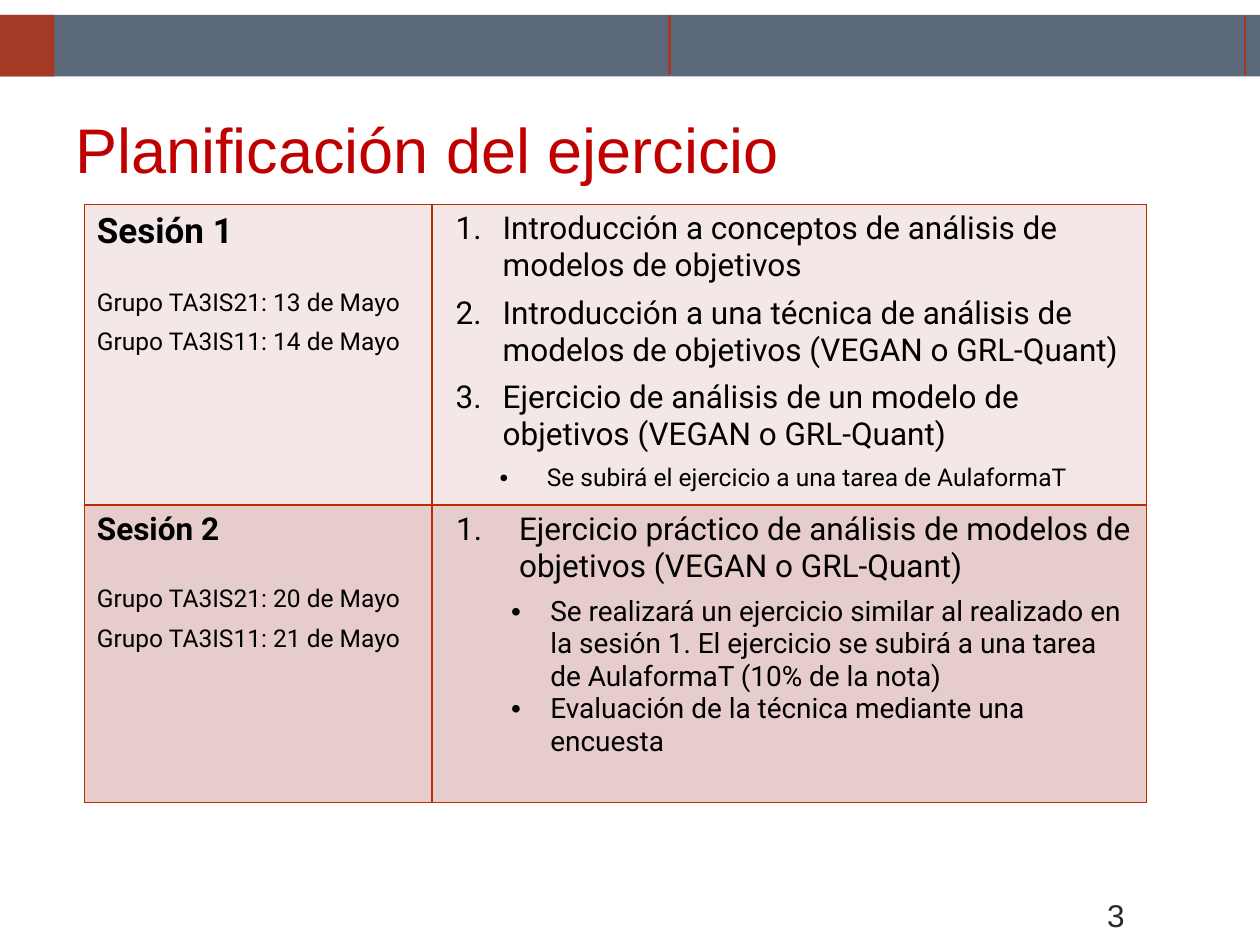
from lxml.etree import SubElement
from pptx import Presentation
from pptx.dml.color import RGBColor
from pptx.enum.shapes import MSO_CONNECTOR, MSO_SHAPE
from pptx.enum.text import MSO_ANCHOR
from pptx.oxml.ns import qn
from pptx.util import Cm, Pt

SLATE, BRICK, RED = "5C697B", "A43925", "C00000"
BLACK, INK, EDGE = "000000", "292934", "B92D00"


def color(value):
    return RGBColor.from_string(value)


def write(frame, text, size=18, font="Roboto", ink=BLACK, bold=False,
          before=0, after=0, left=0, hanging=0, bullet=None):
    """Fill the first empty paragraph of the frame, or add another one."""
    paragraph = frame.paragraphs[-1]
    if paragraph.runs:
        paragraph = frame.add_paragraph()
    run = paragraph.add_run()
    run.text = text
    run.font.size, run.font.name, run.font.bold = Pt(size), font, bold
    run.font.color.rgb = color(ink)
    paragraph.space_before, paragraph.space_after = Pt(before), Pt(after)
    if bullet:
        properties = paragraph._p.get_or_add_pPr()
        properties.set("marL", str(Cm(left)))
        properties.set("indent", str(-Cm(hanging)))
        SubElement(properties, qn("a:buFont"), typeface="Arial" if bullet == "•" else font)
        if bullet == "•":
            SubElement(properties, qn("a:buChar"), char=bullet)
        else:
            SubElement(properties, qn("a:buAutoNum"), type=bullet)


class SlideBuilder:
    def __init__(self, slide, accent=BRICK, edge=EDGE):
        self.slide, self.accent, self.edge = slide, accent, edge

    def band(self, left, top, width, height, fill):
        band = self.slide.shapes.add_shape(
            MSO_SHAPE.RECTANGLE, Cm(left), Cm(top), Cm(width), Cm(height))
        band.shadow.inherit = False
        band.fill.solid()
        band.fill.fore_color.rgb = color(fill)
        band.line.fill.background()

    def divider(self, x, top, height):
        divider = self.slide.shapes.add_connector(
            MSO_CONNECTOR.STRAIGHT, Cm(x), Cm(top), Cm(x), Cm(top + height))
        divider.line.color.rgb = color(self.accent)
        divider.line.width = Pt(1.5)
        SubElement(divider._element.spPr, qn("a:effectLst"))

    def label(self, text, left, top, width, height, anchor=MSO_ANCHOR.TOP, **style):
        frame = self.slide.shapes.add_textbox(
            Cm(left), Cm(top), Cm(width), Cm(height)).text_frame
        frame.word_wrap = True
        frame.vertical_anchor = anchor
        write(frame, text, **style)

    def table(self, left, top, widths, heights, fills, contents):
        table = self.slide.shapes.add_table(
            len(heights), len(widths), Cm(left), Cm(top),
            Cm(sum(widths)), Cm(sum(heights))).table
        table.first_row = table.horz_banding = False
        for column, width in zip(table.columns, widths):
            column.width = Cm(width)
        for row, height, fill, entries in zip(table.rows, heights, fills, contents):
            row.height = Cm(height)
            for cell, paragraphs in zip(row.cells, entries):
                self.cell(cell, fill, paragraphs)

    def cell(self, cell, fill, paragraphs):
        properties = cell._tc.get_or_add_tcPr()
        for side in ("a:lnL", "a:lnR", "a:lnT", "a:lnB"):
            border = SubElement(properties, qn(side), w=str(Pt(1)))
            paint = SubElement(border, qn("a:solidFill"))
            SubElement(paint, qn("a:srgbClr"), val=self.edge)
        cell.fill.solid()
        cell.fill.fore_color.rgb = color(fill)
        for text, style in paragraphs:
            write(cell.text_frame, text, **style)


def session(name, size, first_date, second_date):
    return [(name, dict(size=size, bold=True)),
            (f"Grupo TA3IS21: {first_date} de Mayo", dict(size=14, before=21, after=6)),
            (f"Grupo TA3IS11: {second_date} de Mayo", dict(size=14))]


def main():
    deck = Presentation()
    deck.slide_width, deck.slide_height = Cm(25.4), Cm(19.05)
    page = SlideBuilder(deck.slides.add_slide(deck.slide_layouts[6]))

    # Header band
    page.band(0, 0.3, 25.4, 1.24, SLATE)
    page.band(0, 0.3, 1.1, 1.24, BRICK)
    page.divider(13.49, 0.3, 1.19)
    page.divider(25.1, 0.32, 1.19)

    # Title and page number
    page.label("Planificación del ejercicio", 1.27, 1.73, 22.86, 2.51,
               MSO_ANCHOR.MIDDLE, size=36, font="Arial", ink=RED)
    page.label("3", 22.07, 17.93, 2.97, 0.91, font="Arial", ink=INK)

    # Session plan
    step = dict(left=1.17, hanging=0.95, after=6, bullet="arabicPeriod")
    task = dict(size=14, left=2.06, hanging=0.95, after=6, bullet="•")
    practice = dict(left=1.5, hanging=1.27, after=6, bullet="arabicPeriod")
    detail = dict(size=16, left=2.13, hanging=0.79, bullet="•")
    first_plan = [
        ("Introducción a conceptos de análisis de modelos de objetivos", step),
        ("Introducción a una técnica de análisis de modelos de objetivos "
         "(VEGAN o GRL-Quant)", step),
        ("Ejercicio de análisis de un modelo de objetivos (VEGAN o GRL-Quant)", step),
        ("Se subirá el ejercicio a una tarea de AulaformaT", task)]
    second_plan = [
        ("Ejercicio práctico de análisis de modelos de objetivos "
         "(VEGAN o GRL-Quant)", practice),
        ("Se realizará un ejercicio similar al realizado en la sesión 1. El ejercicio "
         "se subirá a una tarea de AulaformaT (10% de la nota)", detail),
        ("Evaluación de la técnica mediante una encuesta", detail)]
    page.table(1.7, 4.12, [7.01, 14.4], [5.94, 6], ["F3E8E7", "E6CDCB"],
               [[session("Sesión 1", 20, 13, 14), first_plan],
                [session("Sesión 2", 18, 20, 21), second_plan]])

    deck.save("out.pptx")


if __name__ == "__main__":
    main()
